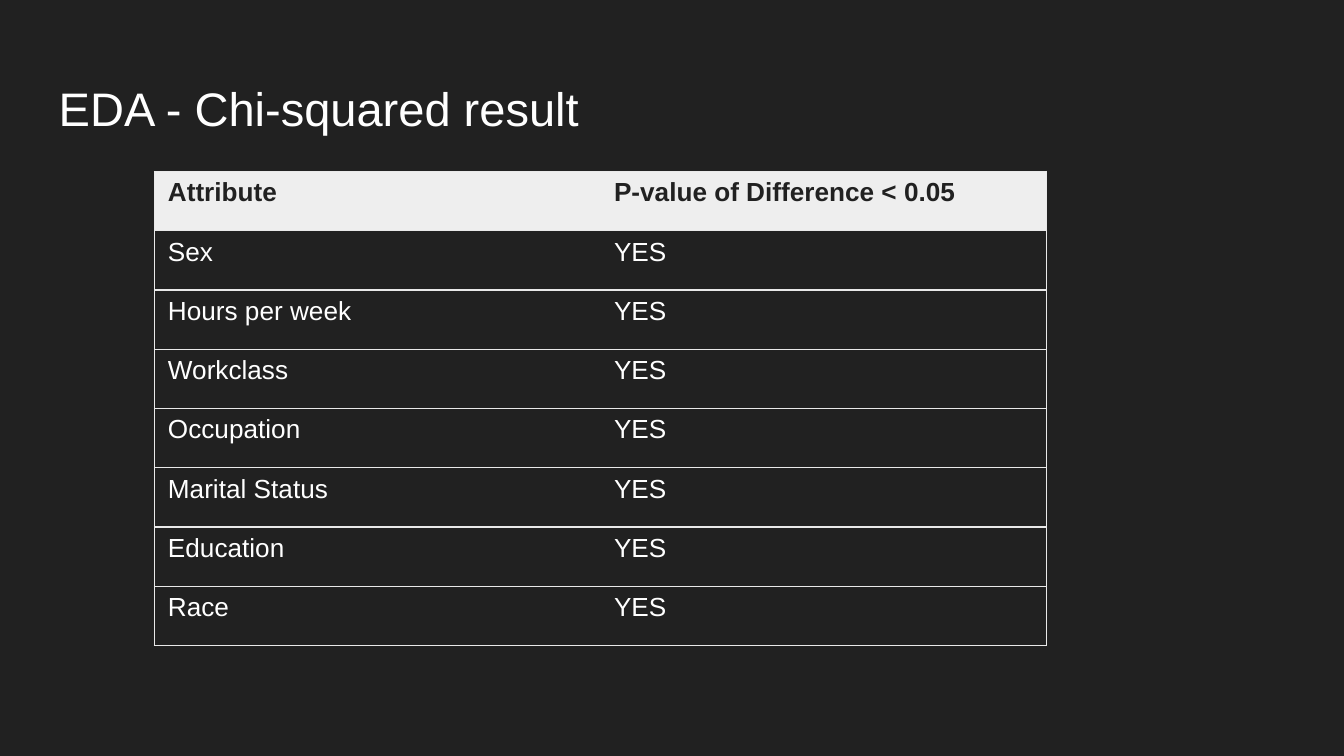
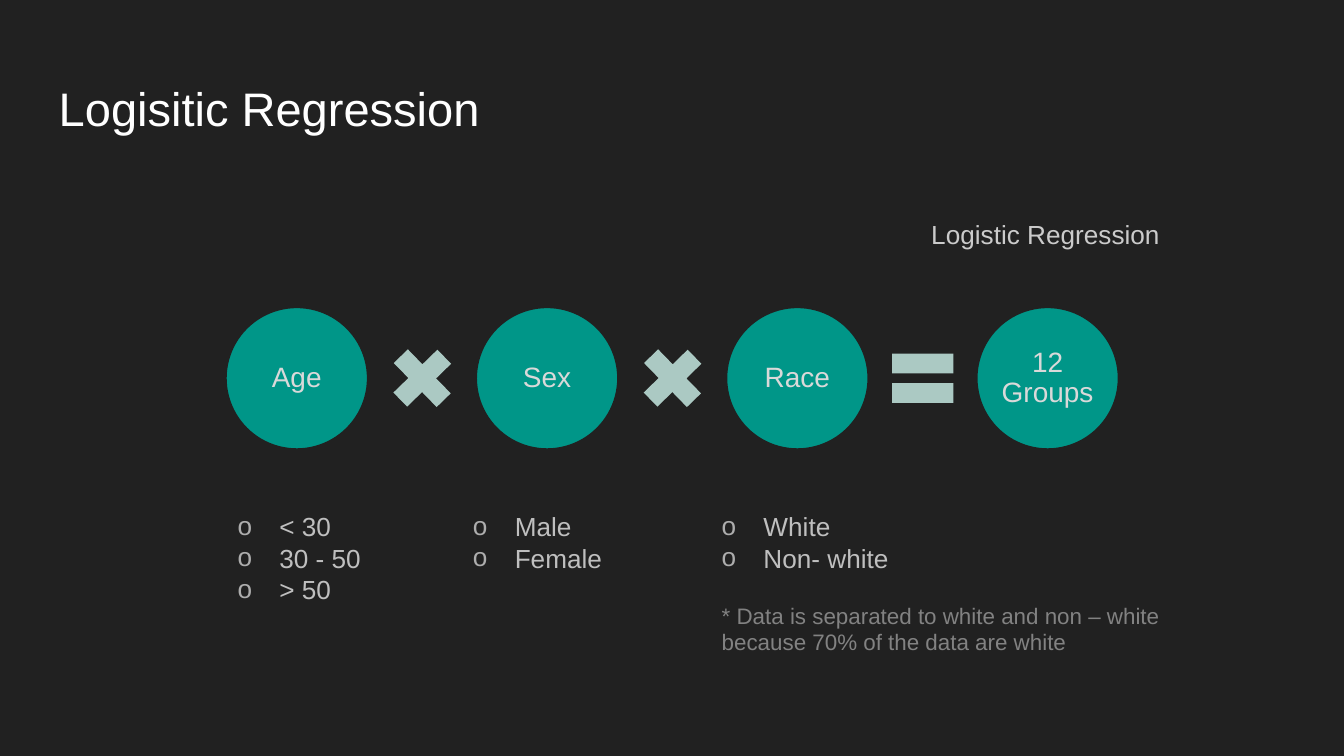
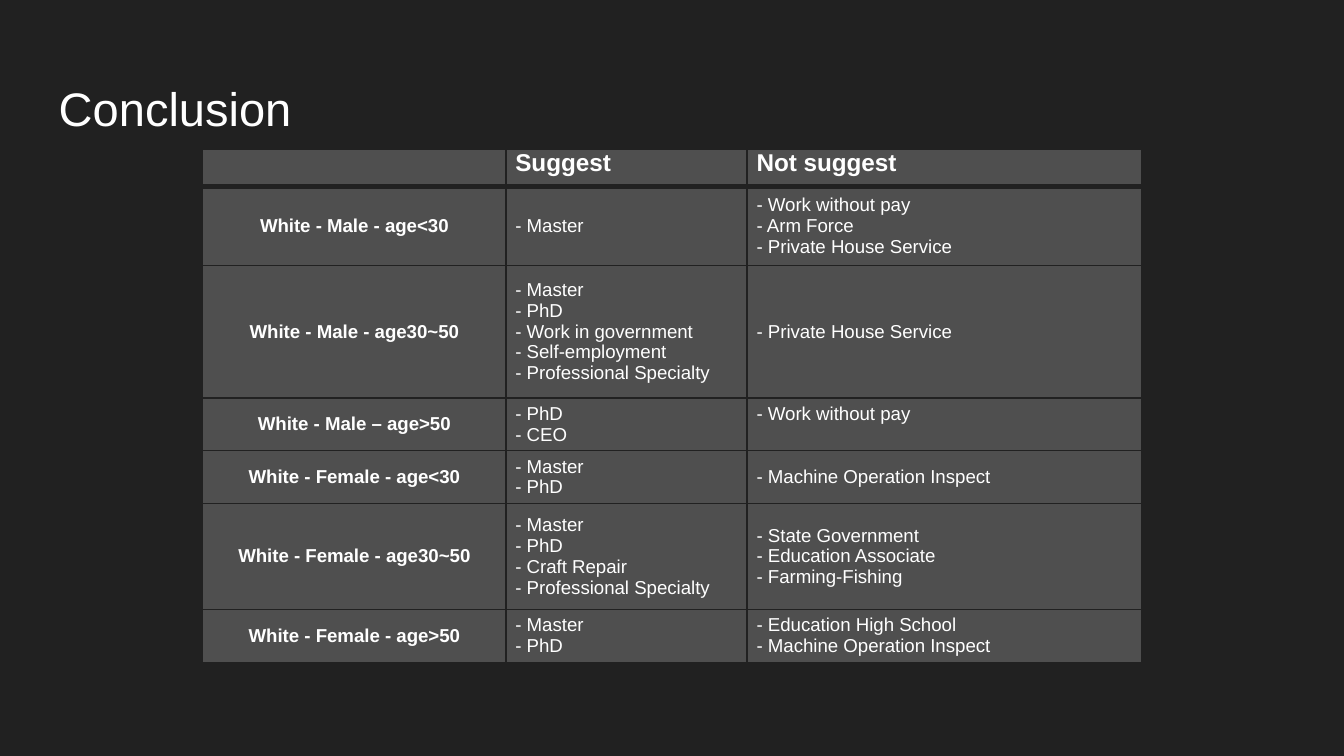
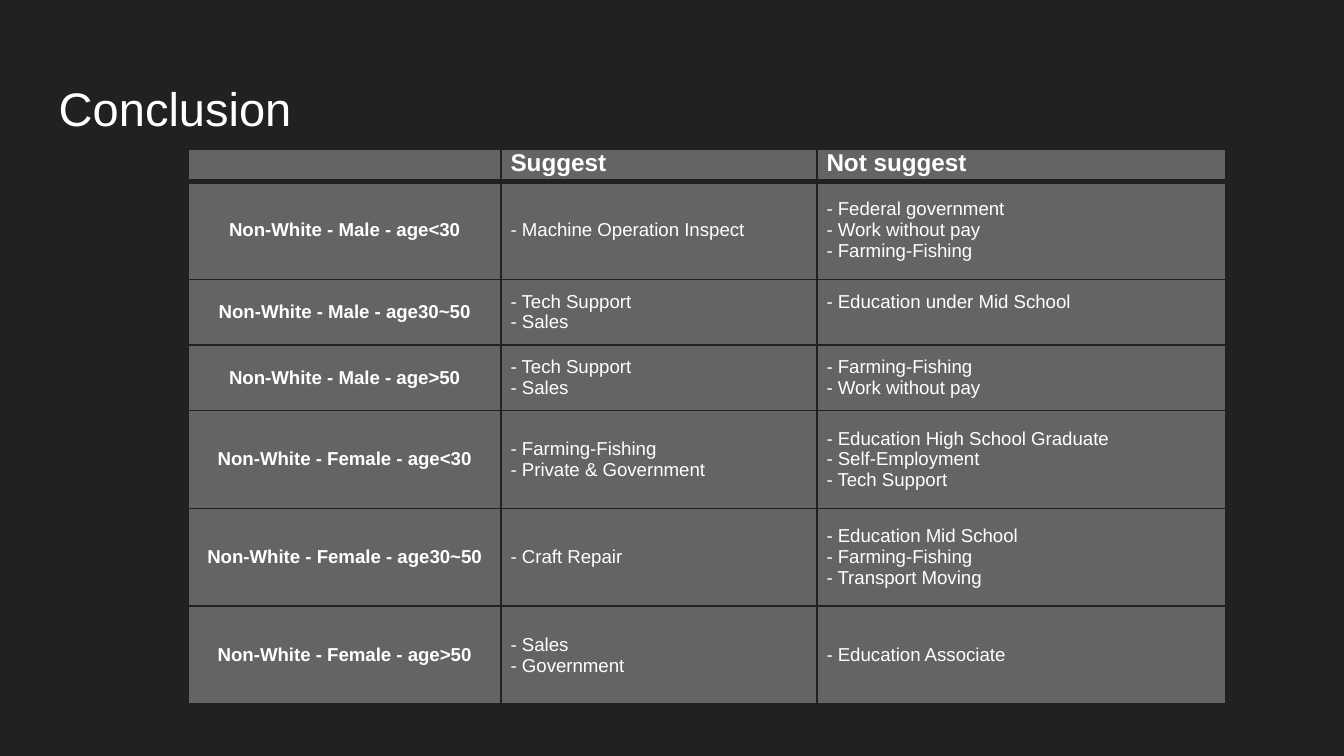
from lxml.etree import SubElement
from pptx import Presentation
from pptx.dml.color import RGBColor
from pptx.enum.shapes import MSO_SHAPE
from pptx.enum.text import MSO_ANCHOR, PP_ALIGN
from pptx.oxml.ns import qn
from pptx.util import Cm, Pt

FONT = "Arial"
COLORS = {
    "background": "212121",
    "white": "FFFFFF",
    "header": "EEEEEE",
    "border": "E9E9E9",
    "circle": "009688",
    "operator": "ABC9C3",
    "circle_text": "D9D9D9",
    "list": "BFBFBF",
    "bullet": "ADADAD",
    "label": "CBCBCB",
    "note": "828282",
}
TITLE = {"size": Pt(25.2), "color": "white"}
CIRCLE_TEXT = {"size": Pt(15), "color": "circle_text"}
LIST = {"size": Pt(14), "color": "list"}
LABEL = {"size": Pt(14), "color": "label"}
NOTE = {"size": Pt(12), "color": "note"}
ATTRIBUTE_HEADER = {"size": Pt(14), "color": "background", "bold": True}
ATTRIBUTE_BODY = {"size": Pt(14), "color": "white", "bold": False}
GROUP_HEADER = {"size": Pt(13), "color": "white", "bold": True}
GROUP_NAME = {"size": Pt(10), "color": "white", "bold": True}
GROUP_BODY = {"size": Pt(10), "color": "white", "bold": False}

ATTRIBUTES = ["Sex", "Hours per week", "Workclass", "Occupation",
              "Marital Status", "Education", "Race"]

FACTORS = ["Age", "Sex", "Race", "12 Groups"]
OPERATORS = [(MSO_SHAPE.MATH_PLUS, 45.75), (MSO_SHAPE.MATH_PLUS, 45.75),
             (MSO_SHAPE.MATH_EQUAL, 0)]
LEVELS = [
    (4.24, 3.3, 2.06, ["< 30", "30 - 50", "> 50"]),
    (8.69, 3.1, 1.45, ["Male", "Female"]),
    (13.39, 3.99, 1.45, ["White", "Non- white"]),
]

WHITE_GROUPS = [
    ("White - Male - age<30", ["Master"],
     ["Work without pay", "Arm Force", "Private House Service"]),
    ("White - Male - age30~50",
     ["Master", "PhD", "Work in government", "Self-employment", "Professional Specialty"],
     ["Private House Service"]),
    ("White - Male – age>50", ["PhD", "CEO"], ["Work without pay"]),
    ("White - Female - age<30", ["Master", "PhD"], ["Machine Operation Inspect"]),
    ("White - Female - age30~50",
     ["Master", "PhD", "Craft Repair", "Professional Specialty"],
     ["State Government", "Education Associate", "Farming-Fishing"]),
    ("White - Female - age>50", ["Master", "PhD"],
     ["Education High School", "Machine Operation Inspect"]),
]
NON_WHITE_GROUPS = [
    ("Non-White - Male - age<30", ["Machine Operation Inspect"],
     ["Federal government", "Work without pay", "Farming-Fishing"]),
    ("Non-White - Male - age30~50", ["Tech Support", "Sales"],
     ["Education under Mid School"]),
    ("Non-White - Male - age>50", ["Tech Support", "Sales"],
     ["Farming-Fishing", "Work without pay"]),
    ("Non-White - Female - age<30", ["Farming-Fishing", "Private & Government"],
     ["Education High School Graduate", "Self-Employment", "Tech Support"]),
    ("Non-White - Female - age30~50", ["Craft Repair"],
     ["Education Mid School", "Farming-Fishing", "Transport Moving"]),
    ("Non-White - Female - age>50", ["Sales", "Government"], ["Education Associate"]),
]


def rgb(name):
    return RGBColor.from_string(COLORS[name])


def set_attributes(target, values):
    for name, value in values.items():
        setattr(target, name, value)


def set_margins(target, horizontal, vertical):
    set_attributes(target, {
        "margin_left": Cm(horizontal), "margin_right": Cm(horizontal),
        "margin_top": Cm(vertical), "margin_bottom": Cm(vertical)})


def paint(fill, color, alpha=None):
    """Fill with a named colour, or with nothing; alpha is a percentage."""
    if color is None:
        fill.background()
        return
    fill.solid()
    fill.fore_color.rgb = rgb(color)
    if alpha is not None:
        color_element = fill._xPr.find(qn("a:solidFill"))[0]
        SubElement(color_element, qn("a:alpha"), val=str(alpha * 1000))


def set_borders(cell, borders):
    """Draw the sides L, R, T and B, each given as (colour, points) or None."""
    properties = cell._tc.get_or_add_tcPr()
    for index, side in enumerate("LRTB"):
        line = SubElement(properties, qn(f"a:ln{side}"))
        properties.insert(index, line)
        if borders[side] is None:
            SubElement(line, qn("a:noFill"))
        else:
            color, width = borders[side]
            line.set("w", str(Pt(width)))
            solid = SubElement(line, qn("a:solidFill"))
            SubElement(solid, qn("a:srgbClr"), val=COLORS[color])


def add_bullet(paragraph):
    properties = paragraph._p.get_or_add_pPr()
    set_attributes_xml = {"marL": str(Cm(0.79)), "indent": str(-Cm(0.79))}
    for name, value in set_attributes_xml.items():
        properties.set(name, value)
    color = SubElement(properties, qn("a:buClr"))
    SubElement(color, qn("a:srgbClr"), val=COLORS["bullet"])
    SubElement(properties, qn("a:buFont"), typeface=FONT)
    SubElement(properties, qn("a:buChar"), char="o")


def write(frame, lines, style, align=PP_ALIGN.LEFT, bulleted=False):
    for index, line in enumerate(lines):
        paragraph = frame.paragraphs[0] if index == 0 else frame.add_paragraph()
        if bulleted:
            add_bullet(paragraph)
        paragraph.alignment = align
        if not line:
            paragraph._p.get_or_add_endParaRPr().set("sz", str(int(style["size"].pt * 100)))
            continue
        run = paragraph.add_run()
        run.text = line
        run.font.name = FONT
        run.font.color.rgb = rgb(style["color"])
        set_attributes(run.font, {key: value for key, value in style.items() if key != "color"})


class Deck:
    def __init__(self):
        self.presentation = Presentation()
        self.presentation.slide_width = Cm(25.4)
        self.presentation.slide_height = Cm(14.29)
        paint(self.presentation.slide_master.background.fill, "background")
        self.slide = None

    def add_slide(self, title):
        self.slide = self.presentation.slides.add_slide(self.presentation.slide_layouts[5])
        shape = self.slide.shapes.title
        set_attributes(shape, {"left": Cm(0.86), "top": Cm(1.24),
                               "width": Cm(23.67), "height": Cm(1.6)})
        frame = shape.text_frame
        set_margins(frame, 0.25, 0.25)
        frame.vertical_anchor = MSO_ANCHOR.MIDDLE
        write(frame, [title], TITLE)

    def add_shape(self, kind, left, top, size, fill, outline=None):
        shape = self.slide.shapes.add_shape(kind, Cm(left), Cm(top), Cm(size), Cm(size))
        shape.shadow.inherit = False
        paint(shape.fill, fill)
        paint(shape.line.fill, outline)
        return shape

    def add_circle(self, left, top, text):
        circle = self.add_shape(MSO_SHAPE.OVAL, left, top, 2.72, "circle", "background")
        circle.line.width = Pt(2)
        frame = circle.text_frame
        set_margins(frame, 0.05, 0.05)
        set_attributes(frame, {"word_wrap": True, "vertical_anchor": MSO_ANCHOR.MIDDLE})
        write(frame, [text], CIRCLE_TEXT, PP_ALIGN.CENTER)
        frame.paragraphs[0].line_spacing = 0.9

    def add_text(self, left, top, width, height, lines, style, bulleted=False):
        box = self.slide.shapes.add_textbox(Cm(left), Cm(top), Cm(width), Cm(height))
        box.text_frame.word_wrap = True
        write(box.text_frame, lines, style, bulleted=bulleted)

    def add_table(self, left, top, widths, heights):
        table = self.slide.shapes.add_table(
            len(heights), len(widths), Cm(left), Cm(top),
            Cm(sum(widths)), Cm(sum(heights))).table
        table.horz_banding = False
        for column, width in zip(table.columns, widths):
            column.width = Cm(width)
        for row, height in zip(table.rows, heights):
            row.height = Cm(height)
        return table

    def add_attribute_table(self):
        rows = [("Attribute", "P-value of Difference < 0.05")]
        rows += [(attribute, "YES") for attribute in ATTRIBUTES]
        table = self.add_table(2.92, 3.24, [8.43] * 2, [1.12] * len(rows))
        edge = ("border", 0.75)
        for row_index, row in enumerate(rows):
            is_header = row_index == 0
            for column_index, text in enumerate(row):
                cell = table.cell(row_index, column_index)
                write(cell.text_frame, [text], ATTRIBUTE_HEADER if is_header else ATTRIBUTE_BODY)
                paint(cell.fill, "header" if is_header else None)
                set_borders(cell, {"L": None if column_index else edge,
                                   "R": edge if column_index else None,
                                   "T": edge, "B": edge})

    def add_group_table(self, left, widths, heights, groups, fill, raised_row):
        """Suggestions by group; the last cell of raised_row sits one half line higher."""
        table = self.add_table(left, 2.82, widths, heights)
        rows = [([""], ["Suggest"], ["Not suggest"])]
        for name, *advice in groups:
            rows.append(([name], *[[f"- {item}" for item in items] for items in advice]))
        thin, thick = ("background", 1), ("background", 3)
        for row_index, row in enumerate(rows):
            is_header = row_index == 0
            for column_index, lines in enumerate(row):
                cell = table.cell(row_index, column_index)
                set_margins(cell, 0.18, 0)
                style, align = GROUP_BODY, PP_ALIGN.LEFT
                if is_header:
                    style = GROUP_HEADER
                else:
                    cell.vertical_anchor = MSO_ANCHOR.MIDDLE
                    if column_index == 0:
                        style, align = GROUP_NAME, PP_ALIGN.CENTER
                write(cell.text_frame, lines, style, align)
                paint(cell.fill, fill, alpha=33)
                set_borders(cell, {"L": thin, "R": thin,
                                   "T": thick if row_index == 1 else thin,
                                   "B": thick if is_header else thin})
        table.cell(raised_row, 2).margin_bottom = Cm(0.39)


def add_regression_slide(deck):
    deck.add_slide("Logisitic Regression")
    first_left, top, pitch = 4.25, 5.79, 4.73
    for index, factor in enumerate(FACTORS):
        deck.add_circle(first_left + index * pitch, top, factor)
    for index, (kind, rotation) in enumerate(OPERATORS):
        operator = deck.add_shape(kind, first_left + 2.94 + index * pitch, top + 0.57,
                                  1.58, "operator")
        operator.rotation = rotation
    for left, width, height, levels in LEVELS:
        deck.add_text(left, 9.53, width, height, levels, LIST, bulleted=True)
    deck.add_text(17.35, 4.01, 5.49, 0.86, ["Logistic Regression"], LABEL)
    deck.add_text(13.39, 11.25, 9.12, 1.27,
                  ["* Data is separated to white and non – white because 70% of the data are white"],
                  NOTE)


def main():
    deck = Deck()
    deck.add_slide("EDA - Chi-squared result")
    deck.add_attribute_table()
    add_regression_slide(deck)
    deck.add_slide("Conclusion")
    deck.add_group_table(3.83, [5.73, 4.56, 7.46], [0.7, 1.5, 2.5, 1, 1, 2, 1],
                         WHITE_GROUPS, "bullet", raised_row=3)
    deck.add_slide("Conclusion")
    deck.add_group_table(3.55, [5.92, 5.97, 7.72], [0.61, 1.85, 1.24, 1.24, 1.85, 1.85, 1.85],
                         NON_WHITE_GROUPS, "header", raised_row=2)
    deck.presentation.save("out.pptx")


if __name__ == "__main__":
    main()
